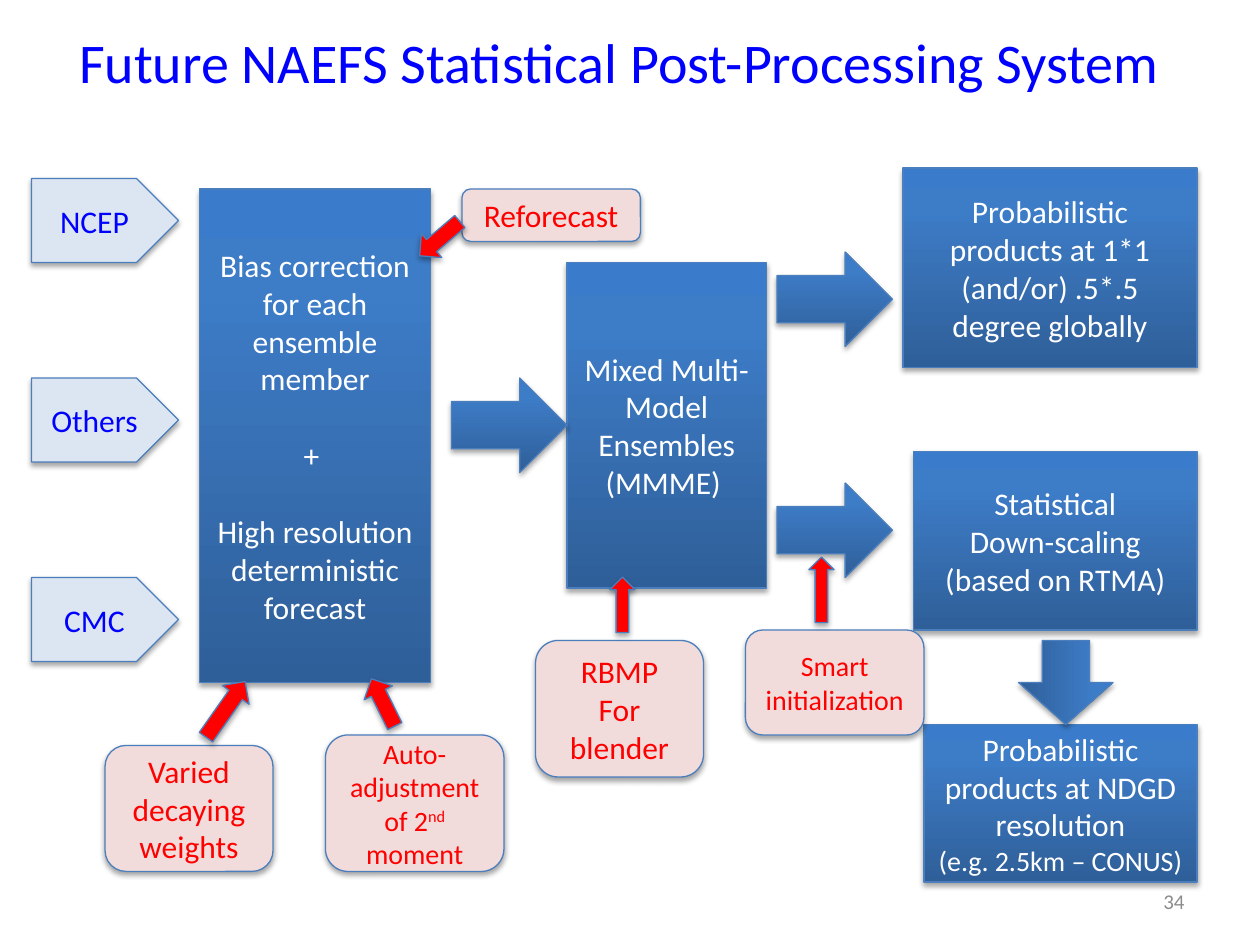
from copy import deepcopy

from pptx import Presentation
from pptx.dml.color import RGBColor
from pptx.enum.shapes import MSO_SHAPE as Shape
from pptx.enum.text import MSO_ANCHOR as Anchor, MSO_AUTO_SIZE as AutoSize, PP_ALIGN as Align
from pptx.oxml import parse_xml
from pptx.oxml.ns import nsdecls, qn
from pptx.util import Pt

# Content: places are (left, top, width, height) in points
TITLE = "Future NAEFS Statistical Post-Processing System"
PAGE = "34"
CENTERS = ["NCEP", "Others", "CMC"]

# Each line is (text, size, space before)
STEPS = [
    ((114, 108, 132, 282), [("Bias correction for each ensemble member", 18, 0),
                            ("+ ", 18, 22),
                            ("High resolution deterministic forecast", 18, 22)]),
    ((324, 150, 114, 186), [("Mixed Multi- Model Ensembles", 18, 0), ("(MMME) ", 18, 0)]),
    ((516, 96, 168, 114), [("Probabilistic products at 1*1 (and/or) .5*.5 degree globally", 18, 0)]),
    ((522, 258, 162, 102), [("Statistical", 18, 0), ("Down-scaling (based on RTMA)", 18, 0)]),
    ((528, 414, 156, 90), [("Probabilistic products at NDGD resolution", 18, 0),
                           ("(e.g. 2.5km – CONUS)", 16, 0)]),
]
# A caret pair encloses superscript
NOTES = [
    ((264, 108, 102, 30), [("Reforecast", 18, 0)]),
    ((306, 366, 96, 78), [("RBMP", 18, 0), ("For blender", 18, 0)]),
    ((60, 426, 96, 72), [("Varied decaying weights", 18, 0)]),
    ((186, 420, 102, 78), [("Auto-adjustment of 2^nd^ moment", 16, 0)]),
    ((426, 360, 102, 60), [("Smart", 16, 0), ("initialization", 16, 0)]),
]
# Arrows add a rotation in degrees
FLOW_ARROWS = [
    ((258, 216, 66, 54), 0),
    ((585, 363, 48, 54), 90),
    ((444, 276, 66, 54), 0),
    ((444, 144, 66, 54), 0),
]
NOTE_ARROWS = [
    ((236.2, 127.4, 30.2, 18), 319.6),
    ((339.8, 338.4, 31.7, 14.4), 90),
    ((203.8, 392.4, 30.2, 18), 63.7),
    ((109.4, 396, 38.9, 18.7), 125.1),
    ((450.7, 329.8, 37.4, 14.4), 90),
]

FONT = "Calibri"
BLUE, RED, WHITE, GRAY = "0000FF", "FF0000", "FFFFFF", "8C8C8C"
PALE_BLUE, PALE_RED, OUTLINE = "DCE6F2", "F2DCDB", "4B7EBC"
BLUE_STOPS = [(0, "2F5F99"), (0.8, "3D7CC7"), (1, "3A7CCB")]
SHADOW = (
    f'<a:effectLst {nsdecls("a")}><a:outerShdw blurRad="{Pt(3.1)}" dist="{Pt(1.8)}" '
    'dir="5400000" rotWithShape="0"><a:srgbClr val="000000"><a:alpha val="35000"/>'
    '</a:srgbClr></a:outerShdw></a:effectLst>'
)


def paint(color_format, value):
    color_format.rgb = RGBColor.from_string(value)


def style(paragraph, size, color, align=Align.CENTER):
    paragraph.alignment = align
    paragraph.font.name = FONT
    paragraph.font.size = Pt(size)
    paint(paragraph.font.color, color)


def fill_gradient(shape):
    shape.fill.gradient()
    shape.fill.gradient_angle = 90
    stop_list = shape._element.spPr.find(qn("a:gradFill")).find(qn("a:gsLst"))
    stop_list.append(deepcopy(stop_list[-1]))
    for stop, (position, color) in zip(shape.fill.gradient_stops, BLUE_STOPS):
        stop.position = position
        paint(stop.color, color)


def add_part(kind, place, fill=None, rotation=0, lines=(), color=WHITE):
    """Add one outlined, shadowed shape; no fill colour means the blue gradient."""
    shape = slide.shapes.add_shape(kind, *map(Pt, place))
    shape.rotation = rotation
    if fill:
        shape.fill.solid()
        paint(shape.fill.fore_color, fill)
    else:
        fill_gradient(shape)
    paint(shape.line.color, OUTLINE)
    shape.line.width = Pt(0.75)
    shape._element.spPr.append(parse_xml(SHADOW))

    frame = shape.text_frame
    frame.word_wrap = True
    frame.vertical_anchor = Anchor.MIDDLE
    for i, (text, size, gap) in enumerate(lines):
        paragraph = frame.add_paragraph() if i else frame.paragraphs[0]
        for j, piece in enumerate(text.split("^")):
            run = paragraph.add_run()
            run.text = piece
            if j % 2:
                run._r.get_or_add_rPr().set("baseline", "30000")
        if gap:
            paragraph.space_before = Pt(gap)
        style(paragraph, size, color)


prs = Presentation()
prs.slide_width, prs.slide_height = Pt(720), Pt(540)
slide = prs.slides.add_slide(prs.slide_layouts[5])

# Title
title = slide.shapes.title
title.left, title.top, title.width, title.height = map(Pt, (24, 12, 660, 46))
title.text_frame.text = TITLE
title.text_frame.auto_size = AutoSize.NONE
title.text_frame.vertical_anchor = Anchor.TOP
style(title.text_frame.paragraphs[0], 32, BLUE)

# Page number
page = slide.shapes.add_textbox(*map(Pt, (516, 500.4, 168, 28.8))).text_frame
page.word_wrap = True
page.vertical_anchor = Anchor.MIDDLE
page.text = PAGE
style(page.paragraphs[0], 12, GRAY, Align.RIGHT)

# Processing steps and the centers that feed them
for place, lines in STEPS:
    add_part(Shape.RECTANGLE, place, lines=lines)
for row, center in enumerate(CENTERS):
    add_part(Shape.PENTAGON, (18, 102 + 114 * row, 84, 48), PALE_BLUE,
             lines=[(center, 18, 0)], color=BLUE)
for place, rotation in FLOW_ARROWS:
    add_part(Shape.RIGHT_ARROW, place, rotation=rotation)

# Planned improvements
for place, lines in NOTES:
    add_part(Shape.ROUNDED_RECTANGLE, place, PALE_RED, lines=lines, color=RED)
for place, rotation in NOTE_ARROWS:
    add_part(Shape.LEFT_ARROW, place, RED, rotation)

prs.save("out.pptx")
